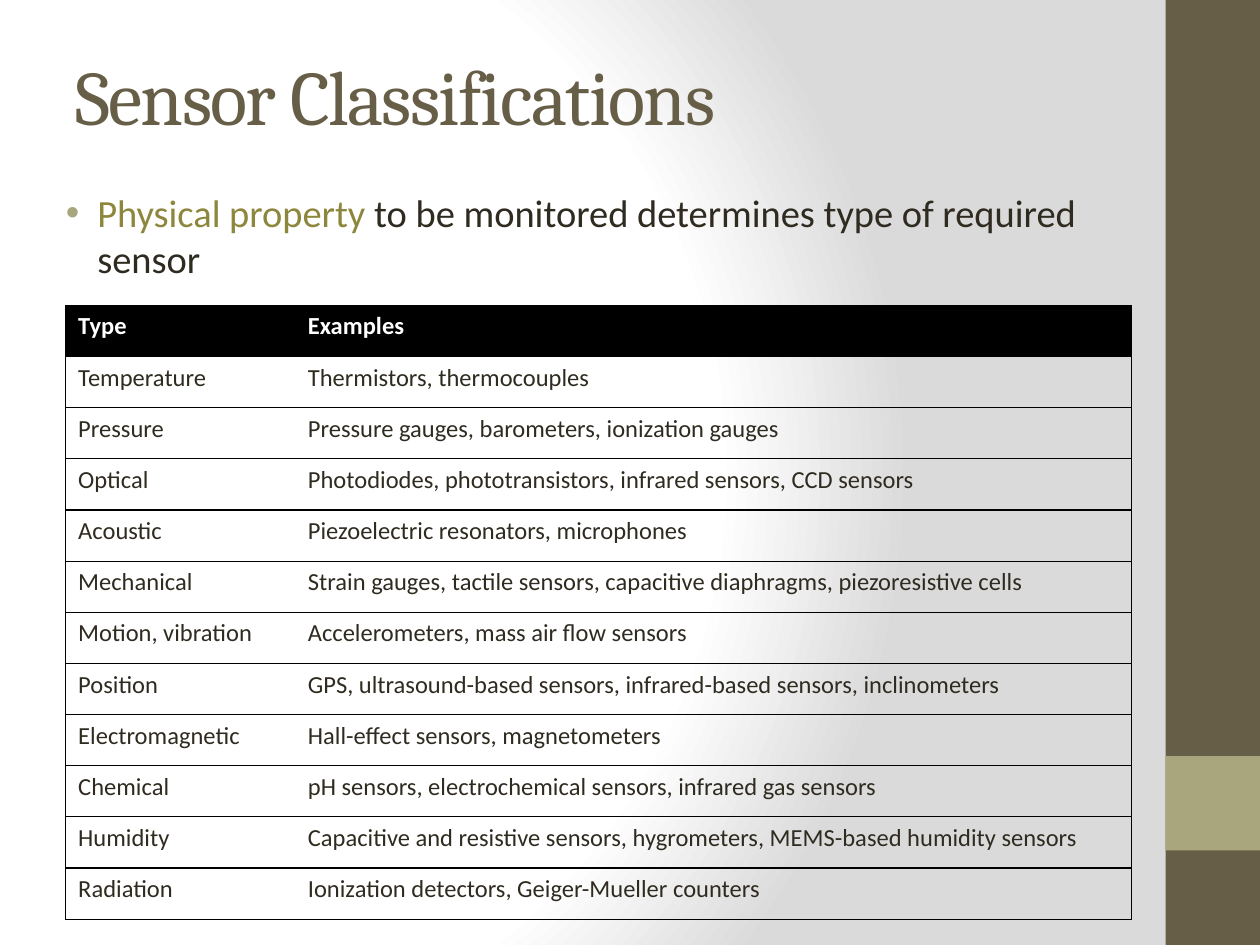
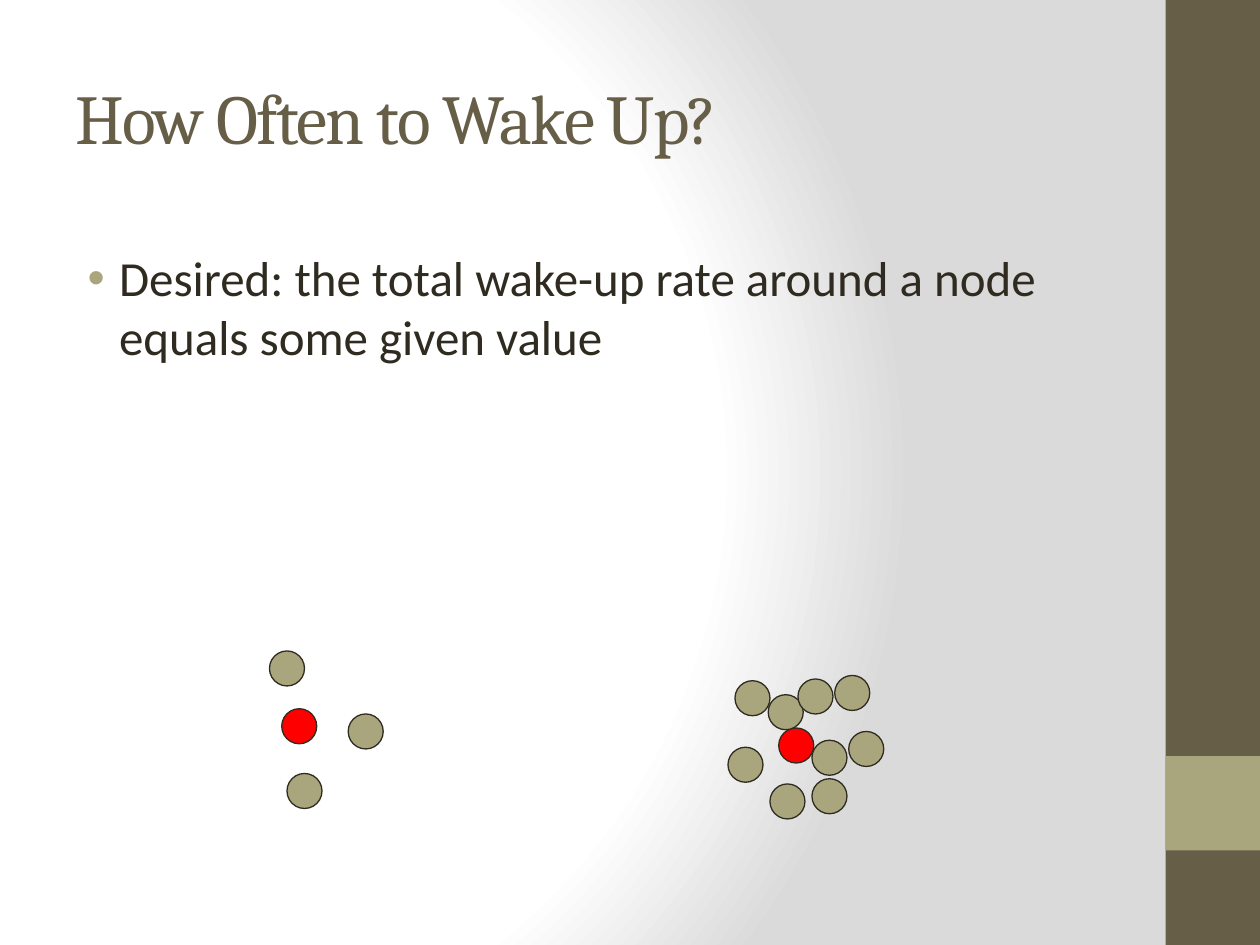
from lxml.etree import SubElement
from pptx import Presentation
from pptx.dml.color import RGBColor
from pptx.enum.shapes import MSO_SHAPE
from pptx.enum.text import MSO_ANCHOR, MSO_AUTO_SIZE, PP_ALIGN
from pptx.oxml import parse_xml
from pptx.oxml.ns import nsdecls, qn
from pptx.util import Pt

COLORS = {
    "brown": "675E47",
    "khaki": "A9A57C",
    "olive": "8D873E",
    "ink": "2F2B20",
    "red": "FF0000",
    "black": "000000",
    "white": "FFFFFF",
    "gray": "DADADA",
}
TITLE_FONT = "Cambria"
BODY_FONT = "Calibri"
SLIDE_SIZE = (720, 540)
BAND_LEFT, BAND_WIDTH = 666, 54
ACCENT_TOP = 432
ROW_HEIGHT = 29.25
NODE_SIZE = 20

SENSORS = [
    ("Type", "Examples"),
    ("Temperature", "Thermistors, thermocouples"),
    ("Pressure", "Pressure gauges, barometers, ionization gauges"),
    ("Optical", "Photodiodes, phototransistors, infrared sensors, CCD sensors"),
    ("Acoustic", "Piezoelectric resonators, microphones"),
    ("Mechanical", "Strain gauges, tactile sensors, capacitive diaphragms, piezoresistive cells"),
    ("Motion, vibration", "Accelerometers, mass air flow sensors"),
    ("Position", "GPS, ultrasound-based sensors, infrared-based sensors, inclinometers"),
    ("Electromagnetic", "Hall-effect sensors, magnetometers"),
    ("Chemical", "pH sensors, electrochemical sensors, infrared gas sensors"),
    ("Humidity", "Capacitive and resistive sensors, hygrometers, MEMS-based humidity sensors"),
    ("Radiation", "Ionization detectors, Geiger-Mueller counters"),
]

SPARSE_NODES = [(161, 405), (154, 372), (164, 442), (199, 408)]
DENSE_NODES = [
    (445, 416), (477, 386), (464, 445), (485, 418), (439, 397),
    (440, 448), (420, 389), (416, 427), (456, 388), (464, 423),
]


class SlideBuilder:
    """Holds the deck style and draws elements on the current page."""

    def __init__(self):
        self.deck = Presentation()
        self.deck.slide_width, self.deck.slide_height = map(Pt, SLIDE_SIZE)
        self.page = None

    def color(self, name):
        """Return a palette colour."""
        return RGBColor.from_string(COLORS[name])

    def start_page(self, title, top, size):
        """Add a page with its background, side bands and title."""
        self.page = self.deck.slides.add_slide(self.deck.slide_layouts[5])
        self.background()
        self.shape(MSO_SHAPE.RECTANGLE, BAND_LEFT, 0, BAND_WIDTH, SLIDE_SIZE[1], "brown")
        self.shape(MSO_SHAPE.RECTANGLE, BAND_LEFT, ACCENT_TOP, BAND_WIDTH, BAND_WIDTH, "khaki")
        box = self.page.shapes.title
        box.left, box.top, box.width, box.height = map(Pt, (36, top, 600, 90))
        frame = box.text_frame
        frame.auto_size = MSO_AUTO_SIZE.NONE
        frame.vertical_anchor = MSO_ANCHOR.MIDDLE
        para = frame.paragraphs[0]
        para.alignment = PP_ALIGN.LEFT
        span = self.span(para, title, size, "brown", TITLE_FONT)
        span.font._element.set("spc", "-100")

    def background(self):
        """Fill the page with the shared radial gradient."""
        stops = "".join(
            f'<a:gs pos="{share * 1000}"><a:srgbClr val="{COLORS[name]}"/></a:gs>'
            for share, name in ((0, "white"), (75, "white"), (100, "gray"))
        )
        self.page.element.cSld.insert(0, parse_xml(
            f'<p:bg {nsdecls("p", "a")}><p:bgPr><a:gradFill rotWithShape="1">'
            f'<a:gsLst>{stops}</a:gsLst><a:path path="circle">'
            '<a:fillToRect l="20000" t="50000" r="100000" b="50000"/>'
            '</a:path></a:gradFill><a:effectLst/></p:bgPr></p:bg>'
        ))

    def span(self, para, text, size, color, font=BODY_FONT, bold=False):
        """Append a formatted run to a paragraph."""
        span = para.add_run()
        span.text = text
        span.font.name = font
        span.font.size = Pt(size)
        span.font.bold = bold
        span.font.color.rgb = self.color(color)
        return span

    def shape(self, kind, left, top, width, height, fill, line=None):
        """Draw a filled preset shape."""
        shape = self.page.shapes.add_shape(kind, *map(Pt, (left, top, width, height)))
        shape.shadow.inherit = False
        shape.fill.solid()
        shape.fill.fore_color.rgb = self.color(fill)
        if line:
            shape.line.color.rgb = self.color(line)
            shape.line.width = Pt(0.75)
        else:
            shape.line.fill.background()

    def bullet(self, left, top, width, height, size, parts):
        """Write one bulleted paragraph from (text, colour) parts."""
        box = self.page.shapes.add_textbox(*map(Pt, (left, top, width, height)))
        box.text_frame.word_wrap = True
        para = box.text_frame.paragraphs[0]
        props = para._p.get_or_add_pPr()
        props.set("marL", str(Pt(27)))
        props.set("indent", str(Pt(-18)))
        tint = SubElement(props, qn("a:buClr"))
        SubElement(tint, qn("a:srgbClr"), val=COLORS["khaki"])
        SubElement(props, qn("a:buFont"), typeface="Arial")
        SubElement(props, qn("a:buChar"), char="•")
        for text, color in parts:
            self.span(para, text, size, color)

    def borders(self, cell, hidden_side):
        """Rule a cell on every side but one."""
        props = cell._tc.get_or_add_tcPr()
        for side in "LRTB":
            line = SubElement(props, qn(f"a:ln{side}"), w=str(Pt(0.75)))
            if side == hidden_side:
                SubElement(line, qn("a:noFill"))
            else:
                fill = SubElement(line, qn("a:solidFill"))
                SubElement(fill, qn("a:srgbClr"), val=COLORS["black"])

    def table(self, left, top, widths, rows):
        """Draw a ruled two-column table with a dark header."""
        frame = self.page.shapes.add_table(
            len(rows), len(widths),
            *map(Pt, (left, top, sum(widths), ROW_HEIGHT * len(rows))))
        table = frame.table
        table.horz_banding = table.first_row = False
        for column, width in zip(table.columns, widths):
            column.width = Pt(width)
        for row_index, texts in enumerate(rows):
            table.rows[row_index].height = Pt(ROW_HEIGHT)
            header = row_index == 0
            for column_index, text in enumerate(texts):
                cell = table.cell(row_index, column_index)
                self.borders(cell, "RL"[column_index])
                if header:
                    cell.fill.solid()
                    cell.fill.fore_color.rgb = self.color("black")
                else:
                    cell.fill.background()
                para = cell.text_frame.paragraphs[0]
                self.span(para, text, 14, "white" if header else "ink", bold=header)

    def cluster(self, nodes):
        """Draw a red centre node followed by its neighbours."""
        for index, (left, top) in enumerate(nodes):
            fill = "khaki" if index else "red"
            self.shape(MSO_SHAPE.OVAL, left, top, NODE_SIZE, NODE_SIZE, fill, "ink")


def main():
    """Build both pages and save the deck."""
    builder = SlideBuilder()

    builder.start_page("Sensor Classifications", 9, 44)
    builder.bullet(21.5, 104.5, 646, 86, 22, [
        ("Physical property ", "olive"),
        ("to be monitored determines type of required sensor", "ink"),
    ])
    builder.table(37.5, 174.5, (131.25, 478), SENSORS)

    builder.start_page("How Often to Wake Up?", 21.5, 40)
    builder.bullet(34, 138, 626, 162, 28, [
        ("Desired: the total wake-up rate around a node equals some given value", "ink"),
    ])
    builder.cluster(SPARSE_NODES)
    builder.cluster(DENSE_NODES)

    builder.deck.save("out.pptx")


if __name__ == "__main__":
    main()
